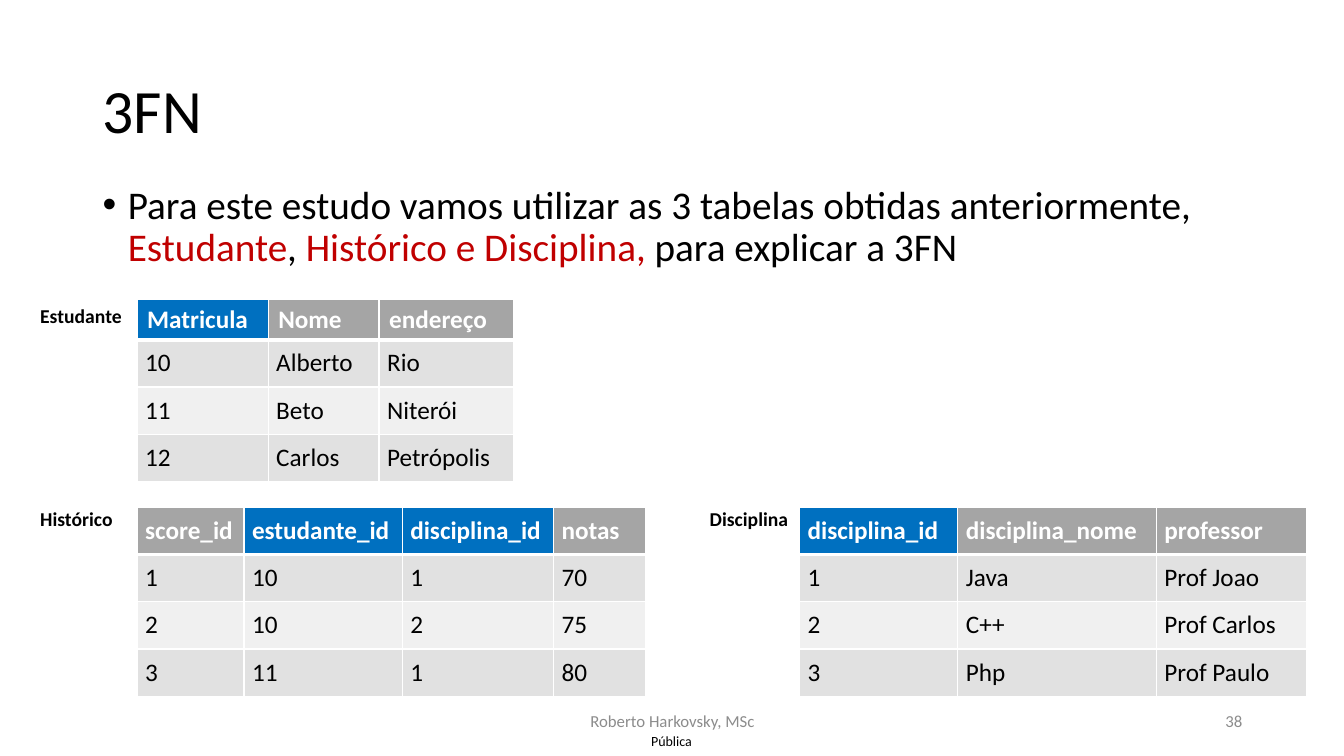
from lxml import etree
from pptx import Presentation
from pptx import util as u
from pptx.dml.color import RGBColor
from pptx.enum import text
from pptx.oxml import ns

COLORS = {"black": "000000", "white": "FFFFFF", "red": "C00000", "muted": "8C8C8C",
          "key": "0070C0", "header": "A5A5A5", "odd": "E1E1E1", "even": "F0F0F0"}
LEFT, CENTER, RIGHT = text.PP_ALIGN.LEFT, text.PP_ALIGN.CENTER, text.PP_ALIGN.RIGHT
MIDDLE = text.MSO_ANCHOR.MIDDLE

deck = Presentation()
deck.slide_width, deck.slide_height = u.Inches(13.33), u.Inches(7.5)
slide = deck.slides.add_slide(deck.slide_layouts[6])


def style(font, size, color, bold=False):
    font.name, font.size, font.bold = "Calibri", u.Pt(size), bold
    font.color.rgb = RGBColor.from_string(COLORS[color])


def add_text(box, words, size, color="black", align=LEFT, anchor=None, bold=False, wrap=True):
    frame = slide.shapes.add_textbox(*[u.Inches(v) for v in box]).text_frame
    frame.word_wrap = wrap
    frame.vertical_anchor = anchor
    paragraph = frame.paragraphs[0]
    paragraph.text = words
    paragraph.alignment = align
    for run in paragraph.runs:
        style(run.font, size, color, bold)
    return frame


# Title and footer
title = add_text((0.92, 0.4, 11.5, 1.45), "3FN", 44, anchor=MIDDLE)
title.paragraphs[0].line_spacing = 0.9
add_text((4.42, 6.95, 4.5, 0.4), "Roberto Harkovsky, MSc", 12, "muted", CENTER, MIDDLE)
add_text((9.42, 6.95, 3, 0.4), "38", 12, "muted", RIGHT, MIDDLE)
classification = add_text((6.31, 7.21, 0.7, 0.29), "Pública", 10, align=CENTER, anchor=MIDDLE)
classification.margin_left = classification.margin_right = 0
classification.margin_top = classification.margin_bottom = 0

# Introduction bullet
intro = add_text((0.92, 1.79, 11.5, 0.97), "", 28).paragraphs[0]
intro_props = intro._p.get_or_add_pPr()
intro_props.set("marL", str(u.Inches(0.25)))
intro_props.set("indent", str(u.Inches(-0.25)))
etree.SubElement(intro_props, ns.qn("a:buFont")).set("typeface", "Arial")
etree.SubElement(intro_props, ns.qn("a:buChar")).set("char", "•")
intro.line_spacing = 0.9
for words, color in [
    ("Para este estudo vamos utilizar as 3 tabelas obtidas anteriormente, ", "black"),
    ("Estudante", "red"),
    (", ", "black"),
    ("Histórico e Disciplina, ", "red"),
    ("para explicar a 3FN", "black"),
]:
    run = intro.add_run()
    run.text = words
    style(run.font, 28, color)

# Tables: label, label box, left, top, header height, header insets, widths, key columns, rows
ROW_HEIGHT = 0.47
relations = [
    ("Histórico", (0.3, 4.98, 0.93, 0.34), 1.36, 5.03, 0.47, (0.08, 0.08),
     [1.06, 1.57, 1.5, 0.91], (1, 2),
     [["score_id", "estudante_id", "disciplina_id", "notas"],
      ["1", "10", "1", "70"],
      ["2", "10", "2", "75"],
      ["3", "11", "1", "80"]]),
    ("Disciplina", (6.94, 4.98, 0.99, 0.34), 7.93, 5.03, 0.47, (0.08, 0.08),
     [1.57, 1.97, 1.49], (0,),
     [["disciplina_id", "disciplina_nome", "professor"],
      ["1", "Java", "Prof Joao"],
      ["2", "C++", "Prof Carlos"],
      ["3", "Php", "Prof Paulo"]]),
    ("Estudante", (0.3, 2.97, 1.02, 0.34), 1.36, 2.97, 0.4, (0.1, 0.05),
     [1.3, 1.1, 1.33], (0,),
     [["Matricula", "Nome", "endereço"],
      ["10", "Alberto", "Rio"],
      ["11", "Beto", "Niterói"],
      ["12", "Carlos", "Petrópolis"]]),
]
for label, label_box, left, top, header_height, header_insets, widths, keys, rows in relations:
    add_text(label_box, label, 14, bold=True, wrap=False)
    heights = [header_height] + [ROW_HEIGHT] * (len(rows) - 1)
    table = slide.shapes.add_table(
        len(rows), len(widths), u.Inches(left), u.Inches(top),
        u.Inches(sum(widths)), u.Inches(sum(heights))).table
    for column, width in zip(table.columns, widths):
        column.width = u.Inches(width)
    for r, (values, height) in enumerate(zip(rows, heights)):
        table.rows[r].height = u.Inches(height)
        for c, value in enumerate(values):
            cell = table.cell(r, c)
            cell.text = value
            style(cell.text_frame.paragraphs[0].runs[0].font, 18,
                  "black" if r else "white", bold=r == 0)
            side, edge = (0.08, 0.08) if r else header_insets
            cell.margin_left = cell.margin_right = u.Inches(side)
            cell.margin_top = cell.margin_bottom = u.Inches(edge)

            # White borders, heavier between header and data
            cell_props = cell._tc.get_or_add_tcPr()
            for tag in ("lnL", "lnR", "lnT", "lnB"):
                heavy = (r, tag) in ((0, "lnB"), (1, "lnT"))
                line = etree.SubElement(cell_props, ns.qn("a:" + tag), w=str(u.Pt(3 if heavy else 1)))
                line_fill = etree.SubElement(line, ns.qn("a:solidFill"))
                etree.SubElement(line_fill, ns.qn("a:srgbClr"), val=COLORS["white"])

            if r == 0:
                fill = "key" if c in keys else "header"
            else:
                fill = "odd" if r % 2 else "even"
            cell.fill.solid()
            cell.fill.fore_color.rgb = RGBColor.from_string(COLORS[fill])

deck.save("out.pptx")
